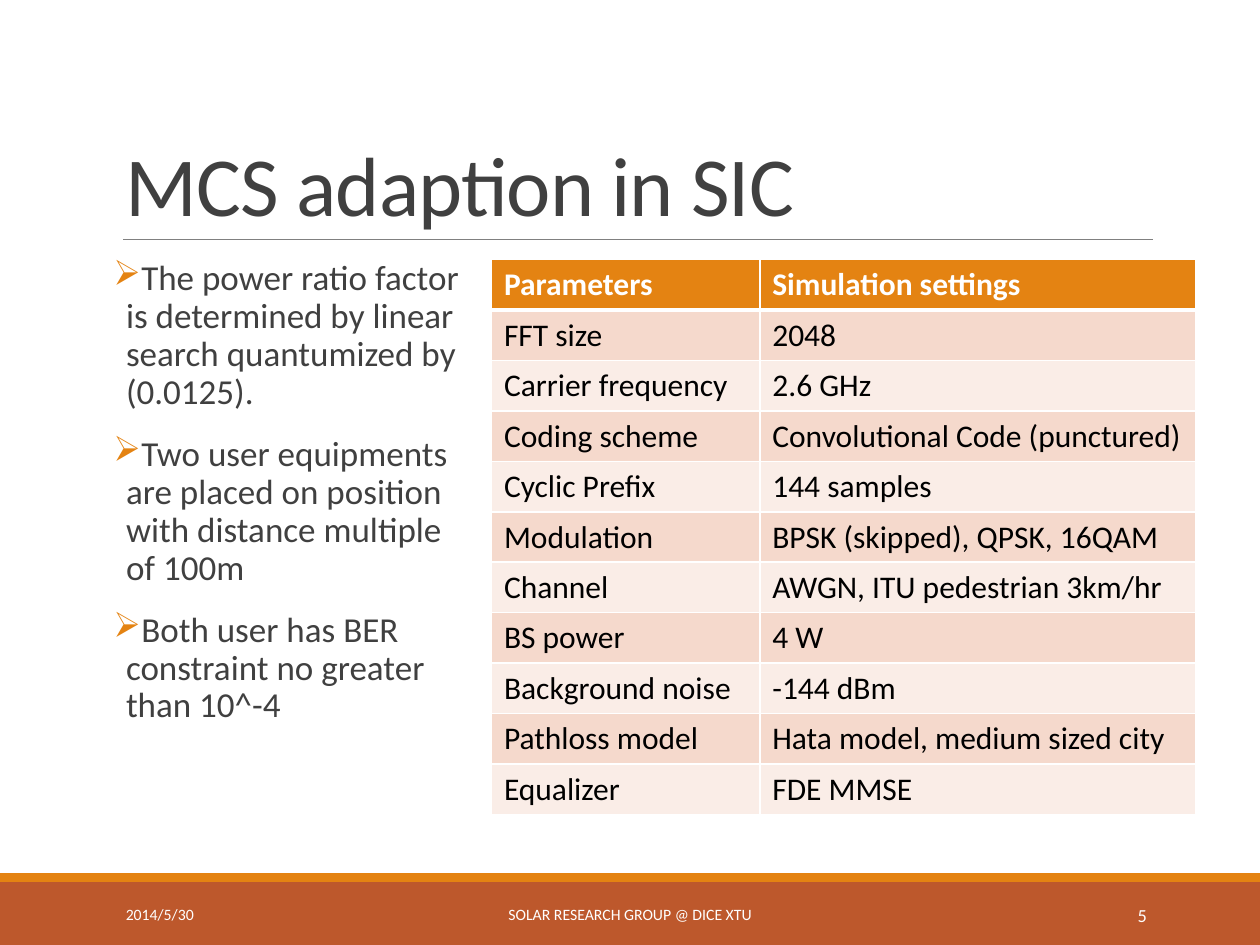
import pptx
import pptx.util
import pptx.dml.color
import pptx.enum.shapes
import pptx.enum.text
import pptx.oxml
from lxml import etree
from pptx.oxml.ns import qn

Inches = pptx.util.Inches
Pt = pptx.util.Pt
RGBColor = pptx.dml.color.RGBColor
Anchor = pptx.enum.text.MSO_ANCHOR
Align = pptx.enum.text.PP_ALIGN

WHITE = RGBColor(0xFF, 0xFF, 0xFF)
BLACK = RGBColor(0, 0, 0)
INK = RGBColor(0x40, 0x40, 0x40)
GRAY = RGBColor(0x80, 0x80, 0x80)
ORANGE = RGBColor(0xE4, 0x83, 0x12)
RUST = RGBColor(0xBD, 0x58, 0x2C)
BAND_DARK = RGBColor(0xF5, 0xD9, 0xCC)
BAND_LIGHT = RGBColor(0xFA, 0xED, 0xE7)

POINTS = [
    "The power ratio factor\nis determined by linear\nsearch quantumized by\n(0.0125).",
    "Two user equipments\nare placed on position\nwith distance multiple\nof 100m",
    "Both user has BER\nconstraint no greater\nthan 10^-4",
]
SETTINGS = [
    ("Parameters", "Simulation settings"),
    ("FFT size", "2048"),
    ("Carrier frequency", "2.6 GHz"),
    ("Coding scheme", "Convolutional Code (punctured)"),
    ("Cyclic Prefix", "144 samples"),
    ("Modulation", "BPSK (skipped), QPSK, 16QAM"),
    ("Channel", "AWGN, ITU pedestrian 3km/hr"),
    ("BS power", "4 W"),
    ("Background noise", "-144 dBm"),
    ("Pathloss model", "Hata model, medium sized city"),
    ("Equalizer", "FDE MMSE"),
]


class SlideBuilder:
    font = "Calibri"

    def __init__(self, slide):
        self.slide = slide

    def style(self, paragraph, size, color, bold=False):
        for run in paragraph.runs:
            run.font.name = self.font
            run.font.size = Pt(size)
            run.font.color.rgb = color
            run.font.bold = bold

    def bar(self, top, height, color):
        bar = self.slide.shapes.add_shape(
            pptx.enum.shapes.MSO_SHAPE.RECTANGLE,
            0, Inches(top), Inches(10), Inches(height))
        bar.shadow.inherit = False
        bar.fill.solid()
        bar.fill.fore_color.rgb = color
        bar.line.fill.background()

    def rule(self, left, right, y, color, width):
        rule = self.slide.shapes.add_connector(
            pptx.enum.shapes.MSO_CONNECTOR.STRAIGHT,
            Inches(left), Inches(y), Inches(right), Inches(y))
        rule.line.color.rgb = color
        rule.line.width = Pt(width)
        etree.SubElement(rule._element.spPr, qn("a:effectLst"))

    def text(self, paragraphs, left, top, width, height, size, color,
             anchor=Anchor.MIDDLE, align=Align.LEFT):
        box = self.slide.shapes.add_textbox(
            Inches(left), Inches(top), Inches(width), Inches(height))
        frame = box.text_frame
        frame.word_wrap = True
        frame.vertical_anchor = anchor
        for i, content in enumerate(paragraphs):
            paragraph = frame.paragraphs[0] if i == 0 else frame.add_paragraph()
            paragraph.text = content
            paragraph.alignment = align
            self.style(paragraph, size, color)
        return frame

    def title(self, content, *place):
        heading = self.text([content], *place, 48, INK, Anchor.BOTTOM).paragraphs[0]
        heading.line_spacing = 0.85
        heading.runs[0]._r.get_or_add_rPr().set("spc", "-50")

    def bullets(self, points, *place):
        frame = self.text(points, *place, 20, INK, Anchor.TOP)
        frame.margin_left = frame.margin_right = 0
        for paragraph in frame.paragraphs:
            paragraph.line_spacing = 0.9
            paragraph.space_before = Pt(12)
            paragraph.space_after = Pt(2)
            properties = paragraph._p.get_or_add_pPr()
            properties.set("marL", str(Inches(0.1)))
            properties.set("indent", str(-Inches(0.1)))
            color = etree.SubElement(properties, qn("a:buClr"))
            etree.SubElement(color, qn("a:srgbClr"), val=str(ORANGE))
            etree.SubElement(properties, qn("a:buChar"), char="➢")

    def borders(self, cell, top, bottom):
        properties = cell._tc.get_or_add_tcPr()
        edges = {"lnL": 1, "lnR": 1, "lnT": top, "lnB": bottom}
        for i, (edge, width) in enumerate(edges.items()):
            line = etree.Element(qn("a:" + edge), w=str(Pt(width)))
            fill = etree.SubElement(line, qn("a:solidFill"))
            etree.SubElement(fill, qn("a:srgbClr"), val=str(WHITE))
            properties.insert(i, line)

    def table(self, rows, left, top, widths, row_height):
        table = self.slide.shapes.add_table(
            len(rows), len(widths), Inches(left), Inches(top),
            Inches(sum(widths)), Inches(row_height * len(rows))).table
        for column, width in zip(table.columns, widths):
            column.width = Inches(width)
        for r, row in enumerate(rows):
            header = r == 0
            band = ORANGE if header else BAND_DARK if r % 2 else BAND_LIGHT
            table.rows[r].height = Inches(row_height)
            for c, content in enumerate(row):
                cell = table.cell(r, c)
                cell.text_frame.text = content
                self.style(cell.text_frame.paragraphs[0], 18,
                           WHITE if header else BLACK, header)
                cell.fill.solid()
                cell.fill.fore_color.rgb = band
                # Thick edge between the header and the first row
                self.borders(cell, 3 if r == 1 else 1, 3 if header else 1)


def main():
    deck = pptx.Presentation()
    deck.slide_width, deck.slide_height = Inches(10), Inches(7.5)
    builder = SlideBuilder(deck.slides.add_slide(deck.slide_layouts[6]))

    # Footer bars and title rule
    builder.bar(7, 0.5, RUST)
    builder.bar(6.93, 0.07, ORANGE)
    builder.rule(0.98, 9.15, 1.9, GRAY, 0.5)

    # Title and points
    builder.title("MCS adaption in SIC", 0.9, 0.31, 8.25, 1.59)
    builder.bullets(POINTS, 0.9, 2.02, 8.25, 4.4)

    # Footer text
    builder.text(["2014/5/30"], 0.9, 7.06, 2.03, 0.4, 9, WHITE)
    builder.text(["SOLAR RESEARCH GROUP @ DICE XTU"], 3.02, 7.06, 3.96, 0.4,
                 9, WHITE, align=Align.CENTER)
    builder.text(["5"], 8.12, 7.06, 1.08, 0.4, 10.5, WHITE, align=Align.RIGHT)

    # Simulation settings
    builder.table(SETTINGS, 3.9, 2.06, (2.13, 3.46), 0.4)

    deck.save("out.pptx")


if __name__ == "__main__":
    main()
